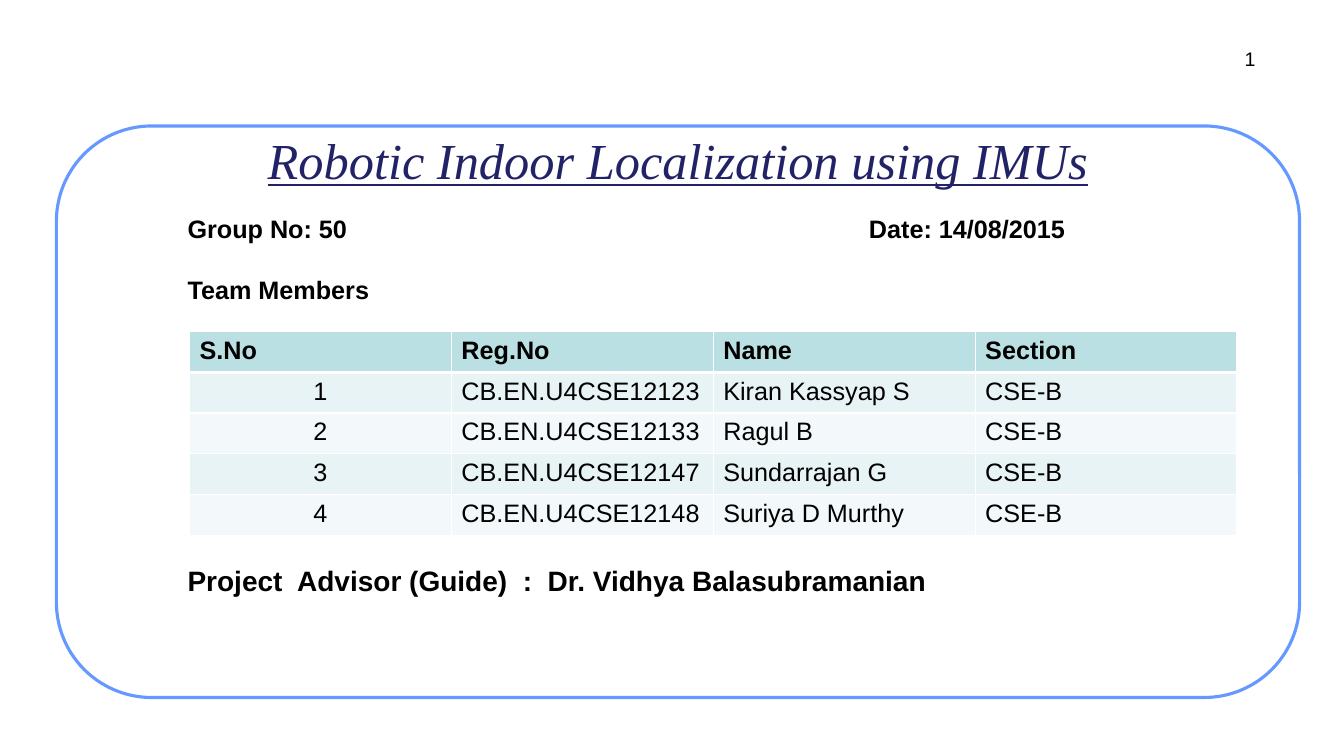
import pptx
import pptx.dml.color
import pptx.enum.shapes
import pptx.enum.text
import pptx.util
from lxml import etree
from pptx.util import Inches

ALIGN = pptx.enum.text.PP_ALIGN
ANCHOR = pptx.enum.text.MSO_ANCHOR
DRAWING = "{http://schemas.openxmlformats.org/drawingml/2006/main}"

MEMBERS = [
    ("S.No", "Reg.No", "Name", "Section"),
    ("1", "CB.EN.U4CSE12123", "Kiran Kassyap S", "CSE-B"),
    ("2", "CB.EN.U4CSE12133", "Ragul B", "CSE-B"),
    ("3", "CB.EN.U4CSE12147", "Sundarrajan G", "CSE-B"),
    ("4", "CB.EN.U4CSE12148", "Suriya D Murthy", "CSE-B"),
]


def color(hex_string):
    return pptx.dml.color.RGBColor.from_string(hex_string)


def place(shape, left, top, width, height):
    shape.left, shape.top = Inches(left), Inches(top)
    shape.width, shape.height = Inches(width), Inches(height)


def add_bottom_border(cell, hex_string, points):
    line = etree.Element(f"{DRAWING}lnB", w=str(int(pptx.util.Pt(points))))
    fill = etree.SubElement(line, f"{DRAWING}solidFill")
    etree.SubElement(fill, f"{DRAWING}srgbClr", val=hex_string)
    cell._tc.get_or_add_tcPr().insert(0, line)


class TitleSlide:
    font_name = "Arial"
    title_font = "Times New Roman"
    black, white = "000000", "FFFFFF"
    title_color, frame_color = "222267", "6699FF"
    header_fill, band_fills = "BBE0E3", ("E7F3F4", "F3F9FA")

    def __init__(self, presentation):
        self.slide = presentation.slides.add_slide(presentation.slide_layouts[0])

    def style(self, paragraph, size, bold=False, align=ALIGN.LEFT):
        paragraph.alignment = align
        paragraph.line_spacing = 1.0
        font = paragraph.font
        font.name, font.size, font.bold = self.font_name, pptx.util.Pt(size), bold
        font.color.rgb = color(self.black)

    def title(self, text, *box):
        shape = self.slide.shapes.title
        place(shape, *box)
        frame = shape.text_frame
        frame.text = text
        frame.vertical_anchor = ANCHOR.MIDDLE
        frame.auto_size = pptx.enum.text.MSO_AUTO_SIZE.NONE
        frame.margin_left, frame.margin_top = Inches(0.24), Inches(0.11)
        paragraph = frame.paragraphs[0]
        self.style(paragraph, 36, align=ALIGN.CENTER)
        font = paragraph.font
        font.name, font.italic, font.underline = self.title_font, True, True
        font.color.rgb = color(self.title_color)

    def frame(self, *box):
        """Add the rounded outline behind the title."""
        shape = self.slide.shapes.add_shape(
            pptx.enum.shapes.MSO_SHAPE.ROUNDED_RECTANGLE, *map(Inches, box))
        shape.shadow.inherit = False
        shape.fill.solid()
        shape.fill.fore_color.rgb = color(self.white)
        shape.line.color.rgb = color(self.frame_color)
        shape.line.width = pptx.util.Pt(2.25)
        self.slide.shapes.title.element.addprevious(shape.element)

    def body(self, lines, *box):
        """Fill the body from (text, size, space before) lines."""
        shape = self.slide.placeholders[1]
        place(shape, *box)
        frame = shape.text_frame
        frame.vertical_anchor = ANCHOR.TOP
        frame.auto_size = pptx.enum.text.MSO_AUTO_SIZE.NONE
        frame.margin_top = Inches(0.29)
        frame.text = "\n".join(text for text, _, _ in lines)
        for paragraph, (_, size, gap) in zip(frame.paragraphs, lines):
            self.style(paragraph, size, bold=True)
            paragraph.space_before = pptx.util.Pt(gap)

    def label(self, text, box, size, bold=False, align=ALIGN.LEFT):
        frame = self.slide.shapes.add_textbox(*map(Inches, box)).text_frame
        frame.word_wrap = True
        frame.text = text
        self.style(frame.paragraphs[0], size, bold, align)

    def table(self, rows, *box):
        table = self.slide.shapes.add_table(
            len(rows), len(rows[0]), *map(Inches, box)).table
        for row, values in enumerate(rows):
            header = row == 0
            fill = self.header_fill if header else self.band_fills[(row - 1) % 2]
            for column, value in enumerate(values):
                cell = table.cell(row, column)
                cell.text = value
                cell.fill.solid()
                cell.fill.fore_color.rgb = color(fill)
                if header:
                    add_bottom_border(cell, self.white, 3)
                centred = column == 0 and not header
                self.style(cell.text_frame.paragraphs[0], 18, bold=header,
                           align=ALIGN.CENTER if centred else ALIGN.LEFT)


def main():
    presentation = pptx.Presentation()
    presentation.slide_width = Inches(13.33)
    presentation.slide_height = Inches(7.5)

    slide = TitleSlide(presentation)
    slide.frame(0.56, 1.25, 12.33, 5.67)
    slide.title("Robotic Indoor Localization using IMUs", 2.36, 0.92, 8.59, 1.26)
    slide.body([
        ("Group No: 50", 18, 0),
        ("Team Members", 18, 21.5),
        ("Project  Advisor (Guide)  :  Dr. Vidhya Balasubramanian", 20, 185),
    ], 1.76, 1.83, 10.79, 4.33)
    slide.label("Date: 14/08/2015", (8.52, 2.07, 2.5, 0.4), 18, bold=True)
    slide.label("1", (10.22, 0.42, 2.33, 0.52), 14, align=ALIGN.RIGHT)
    slide.table(MEMBERS, 1.88, 3.29, 10.39, 2.02)
    presentation.save("out.pptx")


if __name__ == "__main__":
    main()
